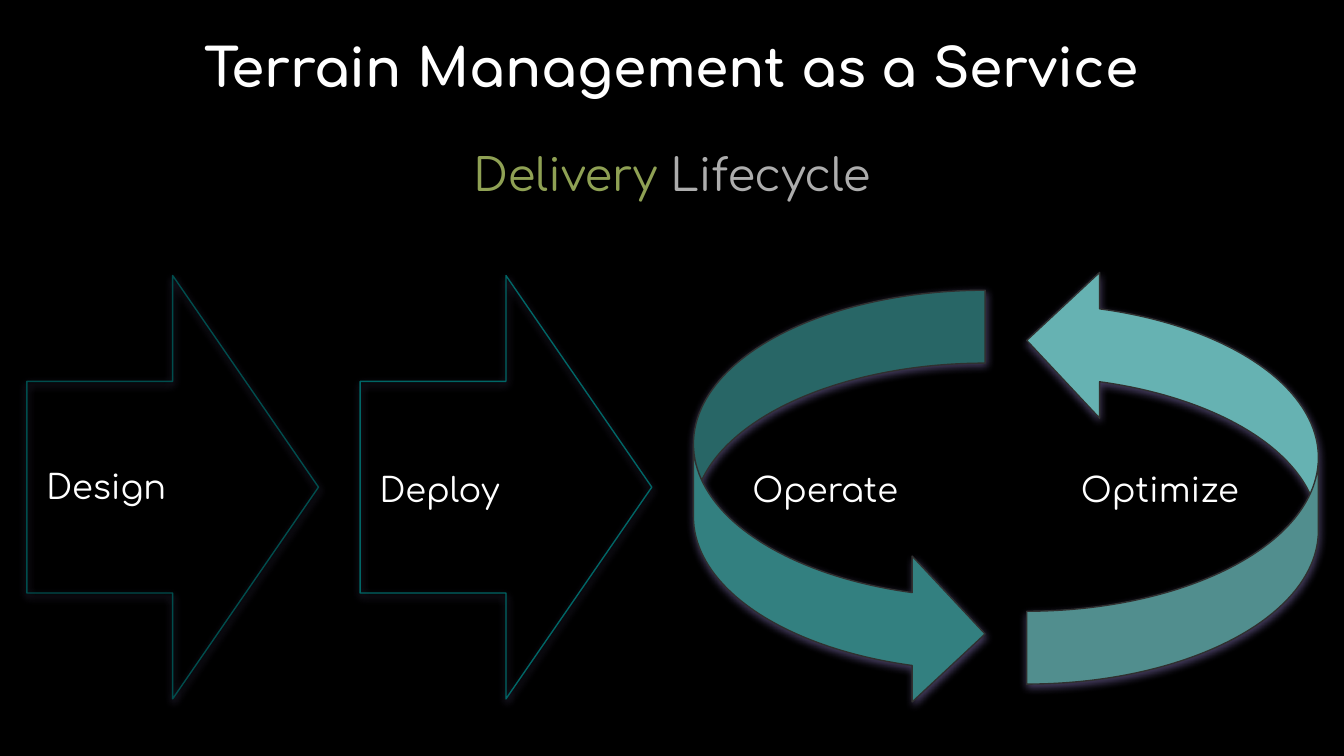
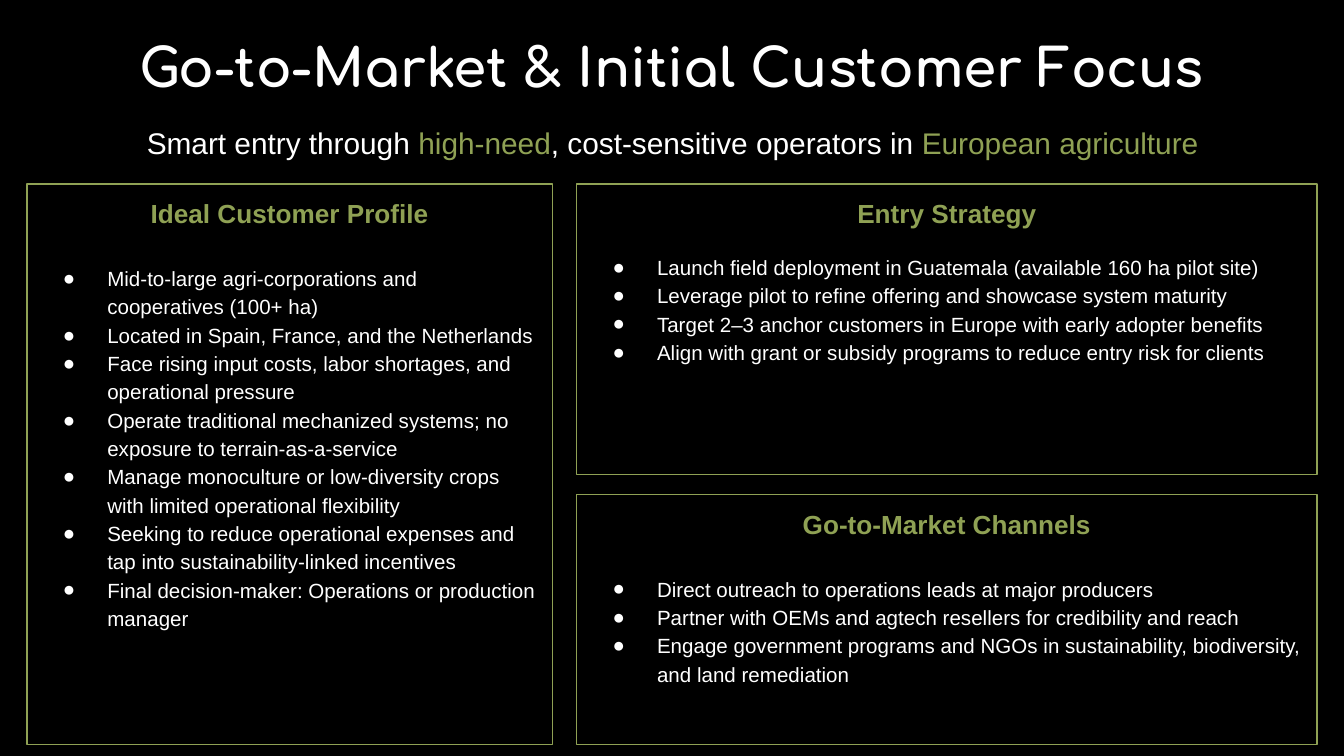
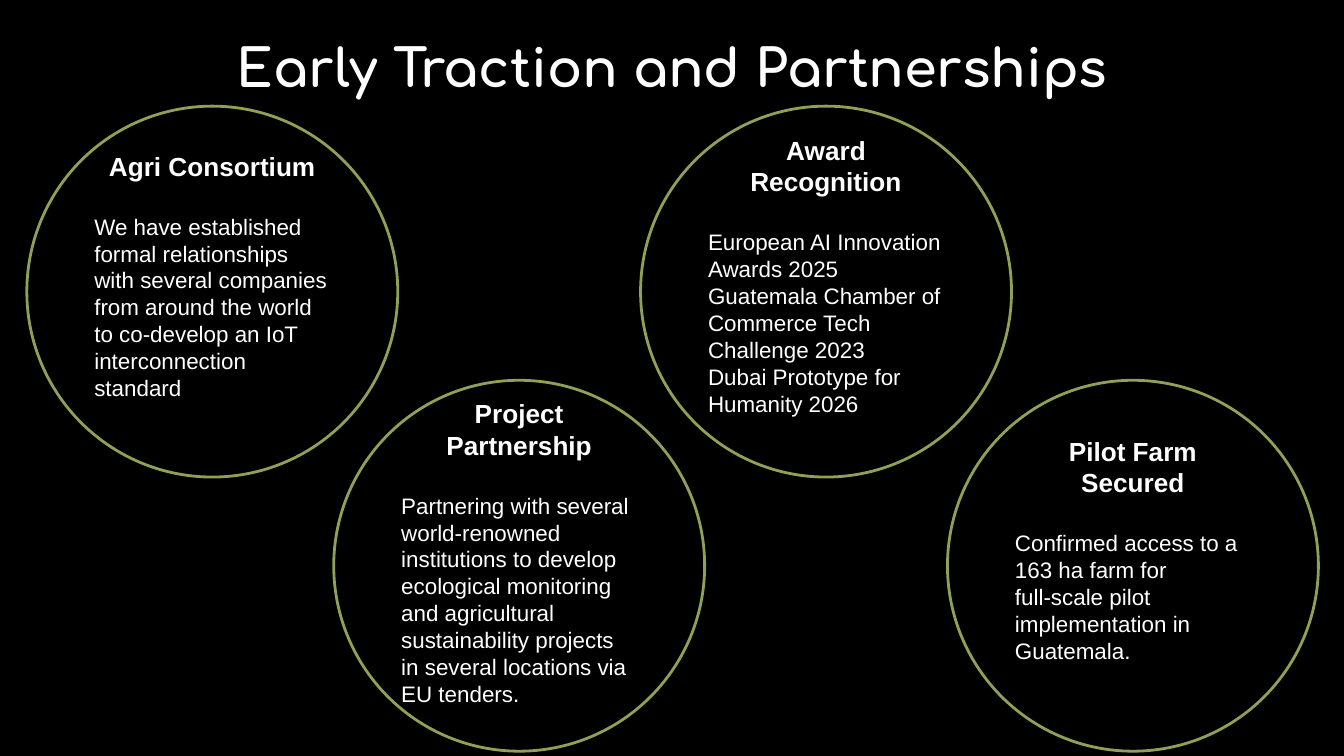
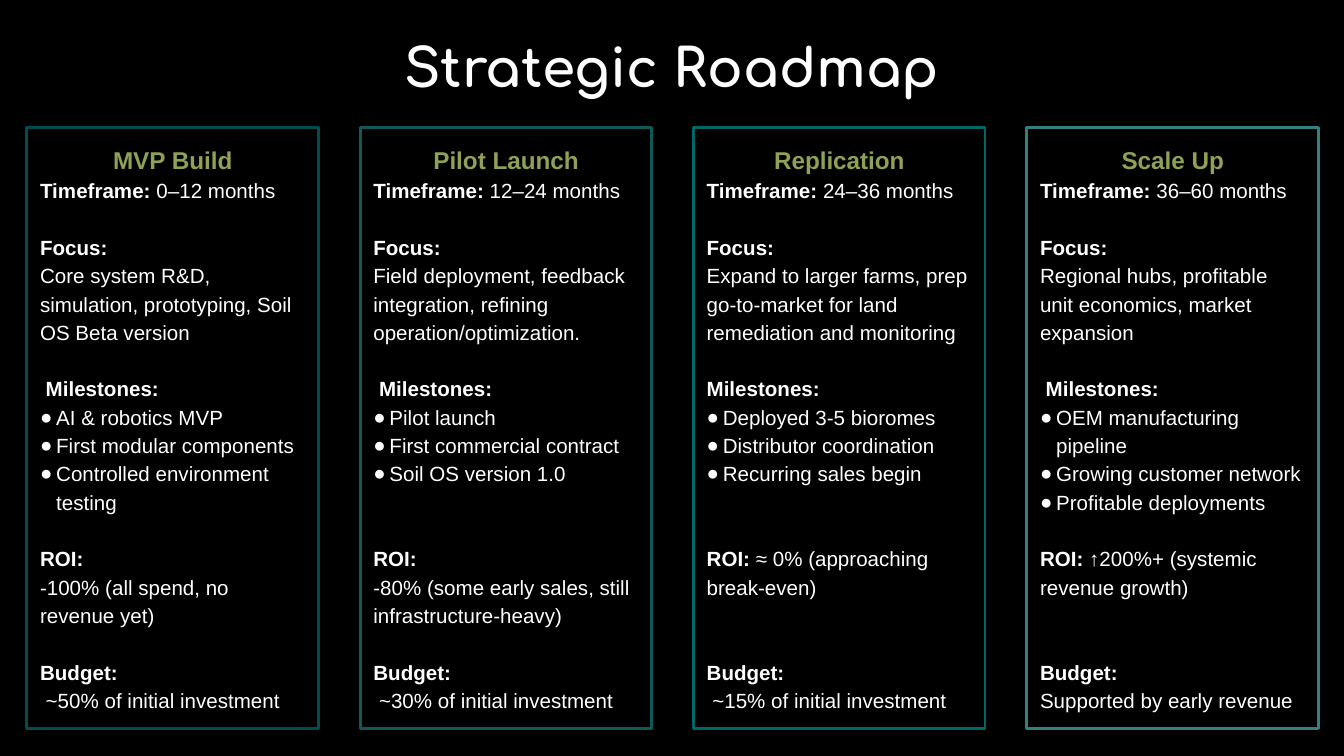
import pptx
import pptx.util
import pptx.dml.color
import pptx.enum.shapes
import pptx.enum.text
import pptx.oxml
import pptx.oxml.ns
from dataclasses import dataclass

Inches, Pt = pptx.util.Inches, pptx.util.Pt
RGB = pptx.dml.color.RGBColor.from_string
KIND = pptx.enum.shapes.MSO_SHAPE
ALIGN = pptx.enum.text.PP_ALIGN
ANCHOR = pptx.enum.text.MSO_ANCHOR
qn = pptx.oxml.ns.qn


@dataclass(frozen=True)
class Theme:
    black: str = "000000"
    white: str = "FFFFFF"
    olive: str = "8FA154"
    gray: str = "ADADAD"
    edge: str = "303030"
    glow: str = "8E7CC3"
    head: str = "Comfortaa"
    body: str = "Arial"
    title: float = 28.4
    sub: float = 24
    lead: float = 16
    label: float = 18
    panel: float = 14
    phase: float = 13
    note: float = 12
    text: float = 11
    loose: float = 1.15
    line: float = 15.2    # height of one loose line of small text, in points


T = Theme()

# Content: lifecycle
CYCLE_TITLE = "Terrain Management as a Service"
CYCLE_SUB = [("Delivery", T.olive), (" Lifecycle", T.gray)]
# kind, top, height, fill, line, adjustments
STEPS = [
    (KIND.RIGHT_ARROW, 2.05, 3.15, None, "004D4D", (0.5, 0.5)),
    (KIND.RIGHT_ARROW, 2.05, 3.15, None, "006666", (0.5, 0.5)),
    (KIND.CURVED_RIGHT_ARROW, 2.16, 3.1, "338080", T.edge, (0.25, 0.5, 0.25)),
    (KIND.CURVED_LEFT_ARROW, 1.99, 3.1, "66B2B2", T.edge, (0.25, 0.5, 0.25)),
]
# text, left, line spacing
LABELS = [("Design", 0.2, 1), ("Deploy", 2.68, T.loose),
          ("Operate", 5.55, T.loose), ("Optimize", 8.04, T.loose)]

# Content: market
MARKET_TITLE = "Go-to-Market & Initial Customer Focus"
MARKET_SUB = [
    ("Smart entry through ", T.white), ("high-need", T.olive),
    (", cost-sensitive operators in ", T.white),
    ("European agriculture", T.olive),
]
# heading, place, gap under heading, bullets
PANELS = [
    ("Ideal Customer Profile", (0.2, 1.37, 3.91, 4.17), 18, [
        "Mid-to-large agri-corporations and cooperatives (100+ ha)",
        "Located in Spain, France, and the Netherlands",
        "Face rising input costs, labor shortages, and operational pressure",
        "Operate traditional mechanized systems; no exposure to "
        "terrain-as-a-service",
        "Manage monoculture or low-diversity crops with limited operational "
        "flexibility",
        "Seeking to reduce operational expenses and tap into "
        "sustainability-linked incentives",
        "Final decision-maker: Operations or production manager",
    ]),
    ("Entry Strategy", (4.29, 1.37, 5.51, 2.16), 12, [
        "Launch field deployment in Guatemala (available 160 ha pilot site)",
        "Leverage pilot to refine offering and showcase system maturity",
        "Target 2–3 anchor customers in Europe with early adopter benefits",
        "Align with grant or subsidy programs to reduce entry risk for clients",
    ]),
    ("Go-to-Market Channels", (4.29, 3.68, 5.51, 1.86), 18, [
        "Direct outreach to operations leads at major producers",
        "Partner with OEMs and agtech resellers for credibility and reach",
        "Engage government programs and NGOs in sustainability, biodiversity, "
        "and land remediation",
    ]),
]

# Content: traction (heading, bottom inset, paragraphs)
TRACTION_TITLE = "Early Traction and Partnerships"
CIRCLES = [
    ("Agri Consortium", 0.34, [
        "We have established formal relationships with several companies from "
        "around the world to co-develop an IoT interconnection standard"]),
    ("Project Partnership", 0.3, [
        "Partnering with several world-renowned institutions to develop "
        "ecological monitoring and agricultural sustainability projects in "
        "several locations via EU tenders."]),
    ("Award Recognition", 0.34, [
        "European AI Innovation Awards 2025",
        "Guatemala Chamber of Commerce Tech Challenge 2023",
        "Dubai Prototype for Humanity 2026"]),
    ("Pilot Farm Secured", 0.34, [
        "Confirmed access to a 163 ha farm for",
        "full-scale pilot implementation in Guatemala."]),
]

# Content: roadmap; gaps are lines left free above ROI and Budget
ROAD_TITLE = "Strategic Roadmap"
PHASES = [
    dict(name="MVP Build", line="004D4D", time=" 0–12 months",
         focus="Core system R&D, simulation, prototyping, Soil OS Beta version",
         mark=" Milestones:",
         goals=["AI & robotics MVP", "First modular components",
                "Controlled environment testing"],
         roi="-100% (all spend, no revenue yet)",
         budget=" ~50% of initial investment", gaps=(1, 1)),
    dict(name="Pilot Launch", line="105959", time=" 12–24 months",
         focus="Field deployment, feedback integration, refining "
               "operation/optimization.",
         mark=" Milestones:",
         goals=["Pilot launch", "First commercial contract",
                "Soil OS version 1.0"],
         roi="-80% (some early sales, still infrastructure-heavy)",
         budget=" ~30% of initial investment", gaps=(2, 1)),
    dict(name="Replication", line="006666", time=" 24–36 months",
         focus="Expand to larger farms, prep go-to-market for land "
               "remediation and monitoring",
         mark="Milestones:",
         goals=["Deployed 3-5 bioromes", "Distributor coordination",
                "Recurring sales begin"],
         roi=" ≈ 0% (approaching break-even)",
         budget=" ~15% of initial investment", gaps=(2, 2)),
    dict(name="Scale Up", line="338080", time=" 36–60 months",
         focus="Regional hubs, profitable unit economics, market expansion",
         mark=" Milestones:",
         goals=["OEM manufacturing pipeline", "Growing customer network",
                "Profitable deployments"],
         roi=" ↑200%+ (systemic revenue growth)",
         budget="Supported by early revenue", gaps=(1, 2)),
]

# Columns shared by the lifecycle and the roadmap
LEFT, PITCH, WIDE = 0.2, 2.48, 2.17


# Text helpers
def inset(frame, left=0.0, top=0.0, right=0.0, low=0.0):
    frame.margin_left, frame.margin_top = Inches(left), Inches(top)
    frame.margin_right, frame.margin_bottom = Inches(right), Inches(low)
    frame.word_wrap = True
    frame.auto_size = pptx.enum.text.MSO_AUTO_SIZE.NONE


def add_mark(props, tag, **values):
    mark = props.makeelement(qn(tag), values)
    props.append(mark)
    return mark


def para(frame, runs, size, font=T.body, align=ALIGN.LEFT, gap=0,
         space=1.0, bullet=None):
    """Add a paragraph of (text, colour, bold) runs; bullet is (left, hang)."""
    item = frame.paragraphs[0]
    if item.runs:
        item = frame.add_paragraph()
    item.alignment, item.line_spacing = align, space
    item.space_before = Pt(gap)
    props = item._p.get_or_add_pPr()
    left, hang = bullet or (0, 0)
    props.set("marL", str(Inches(left)))
    props.set("indent", str(Inches(-hang)))
    if bullet:
        tint = add_mark(props, "a:buClr")
        add_mark(tint, "a:srgbClr", val=T.white)
        add_mark(props, "a:buSzPts", val=str(size * 100))
        add_mark(props, "a:buFont", typeface=font)
        add_mark(props, "a:buChar", char="●")
    else:
        add_mark(props, "a:buNone")
    for text, color, bold in runs:
        run = item.add_run()
        run.text = text
        run.font.name, run.font.size, run.font.bold = font, Pt(size), bold
        run.font.color.rgb = RGB(color)


def plain(pairs):
    return [(text, color, False) for text, color in pairs]


# Shape helpers
def place(shape, left, top, width, height):
    shape.left, shape.top = Inches(left), Inches(top)
    shape.width, shape.height = Inches(width), Inches(height)


def draw(slide, kind, box, line, weight, fill=None):
    shape = slide.shapes.add_shape(kind, *map(Inches, box))
    shape.shadow.inherit = False
    if fill:
        shape.fill.solid()
        shape.fill.fore_color.rgb = RGB(fill)
    else:
        shape.fill.background()
    shape.line.color.rgb = RGB(line)
    shape.line.width = Pt(weight)
    inset(shape.text_frame, 0.1, 0.1, 0.1, 0.1)
    shape.text_frame.vertical_anchor = ANCHOR.TOP
    return shape


def shade(shape):
    shape._element.spPr.find(qn("a:effectLst")).append(pptx.oxml.parse_xml(
        '<a:outerShdw xmlns:a="http://schemas.openxmlformats.org/drawingml/'
        f'2006/main" blurRad="{Pt(4.5)}" dist="{Pt(1.5)}" dir="5400000" '
        f'algn="bl" rotWithShape="0"><a:srgbClr val="{T.glow}">'
        '<a:alpha val="50000"/></a:srgbClr></a:outerShdw>'))


def add_slide(deck, title, layout=5, size=T.title):
    slide = deck.slides.add_slide(deck.slide_layouts[layout])
    head = slide.shapes.title
    place(head, 0, 0.2, 10, 0.59)
    frame = head.text_frame
    inset(frame, 0.1, 0.05, 0.1, 0.05)
    frame.vertical_anchor = ANCHOR.MIDDLE
    para(frame, [(title, T.white, True)], size, T.head, ALIGN.CENTER)
    return slide


def add_label(slide, box, runs, size, space=1.0):
    frame = slide.shapes.add_textbox(*map(Inches, box)).text_frame
    inset(frame)
    frame.vertical_anchor = ANCHOR.MIDDLE
    para(frame, runs, size, T.head, ALIGN.CENTER, space=space)


# Slides
def add_cycle(deck):
    slide = add_slide(deck, CYCLE_TITLE)
    for col, step in reversed(list(enumerate(STEPS))):
        kind, top, high, fill, line, bends = step
        box = (LEFT + col * PITCH, top, WIDE, high)
        arrow = draw(slide, kind, box, line, 0.75, fill)
        for spot, bend in enumerate(bends):
            arrow.adjustments[spot] = bend
        if kind == KIND.CURVED_LEFT_ARROW:
            arrow.rotation = 180
            arrow._element.spPr.xfrm.set("flipH", "1")
        shade(arrow)
    for text, left, space in LABELS:
        add_label(slide, (left, 3.47, 1.18, 0.3),
                  [(text, T.white, False)], T.label, space)
    add_label(slide, (3.43, 1.09, 3.14, 0.4), plain(CYCLE_SUB), T.sub)


def add_market(deck):
    slide = add_slide(deck, MARKET_TITLE, layout=1)
    lead = slide.placeholders[1]
    place(lead, 0.2, 0.84, 9.61, 0.34)
    inset(lead.text_frame, 0.1, 0.05, 0.1, 0.05)
    para(lead.text_frame, plain(MARKET_SUB), T.lead, align=ALIGN.CENTER,
         space=T.loose)
    for head, box, gap, points in PANELS:
        frame = draw(slide, KIND.RECTANGLE, box, T.olive, 0.75).text_frame
        para(frame, [(head, T.olive, True)], T.panel, align=ALIGN.CENTER)
        for row, point in enumerate(points):
            para(frame, [(point, T.white, False)], T.text, space=T.loose,
                 gap=0 if row else gap, bullet=(0.5, 0.33))


def add_traction(deck):
    slide = add_slide(deck, TRACTION_TITLE, size=28)
    size, tops = 2.76, (0.79, 2.83)
    pitch = (9.61 - size) / (len(CIRCLES) - 1)
    for col, (head, low, notes) in reversed(list(enumerate(CIRCLES))):
        box = (LEFT + col * pitch, tops[col % 2], size, size)
        frame = draw(slide, KIND.OVAL, box, T.olive, 1.5).text_frame
        inset(frame, 0.1, 0.1, 0.1, low)
        frame.vertical_anchor = ANCHOR.MIDDLE
        para(frame, [(head, T.white, True)], T.panel, align=ALIGN.CENTER)
        for row, note in enumerate(notes):
            para(frame, [(note, T.white, False)], T.note,
                 gap=0 if row else 16.8)


def add_road(deck):
    slide = add_slide(deck, ROAD_TITLE)
    for col, phase in enumerate(PHASES):
        box = (LEFT + col * PITCH, 0.95, WIDE, 4.47)
        frame = draw(slide, KIND.RECTANGLE, box, phase["line"], 1.5).text_frame

        def row(bold="", text="", lines=0, bullet=None):
            runs = [(bold, T.white, True), (text, T.white, False)]
            para(frame, [run for run in runs if run[0]], T.text,
                 space=T.loose, gap=lines * T.line, bullet=bullet)

        para(frame, [(phase["name"], T.olive, True)], T.phase,
             align=ALIGN.CENTER, space=T.loose)
        row("Timeframe:", phase["time"])
        row("Focus:", lines=1)
        row(text=phase["focus"])
        row(phase["mark"], lines=1)
        for goal in phase["goals"]:
            row(text=goal, bullet=(0.12, 0.14))
        above_roi, above_budget = phase["gaps"]
        if phase["roi"].startswith(" "):
            row("ROI:", phase["roi"], above_roi)
        else:
            row("ROI:", lines=above_roi)
            row(text=phase["roi"])
        row("Budget:", lines=above_budget)
        row(text=phase["budget"])


def main():
    deck = pptx.Presentation()
    deck.slide_width = Inches(10)
    deck.slide_height = deck.slide_width * 9 // 16
    back = deck.slide_master.background.fill
    back.solid()
    back.fore_color.rgb = RGB(T.black)
    for build in (add_cycle, add_market, add_traction, add_road):
        build(deck)
    deck.save("out.pptx")


if __name__ == "__main__":
    main()
